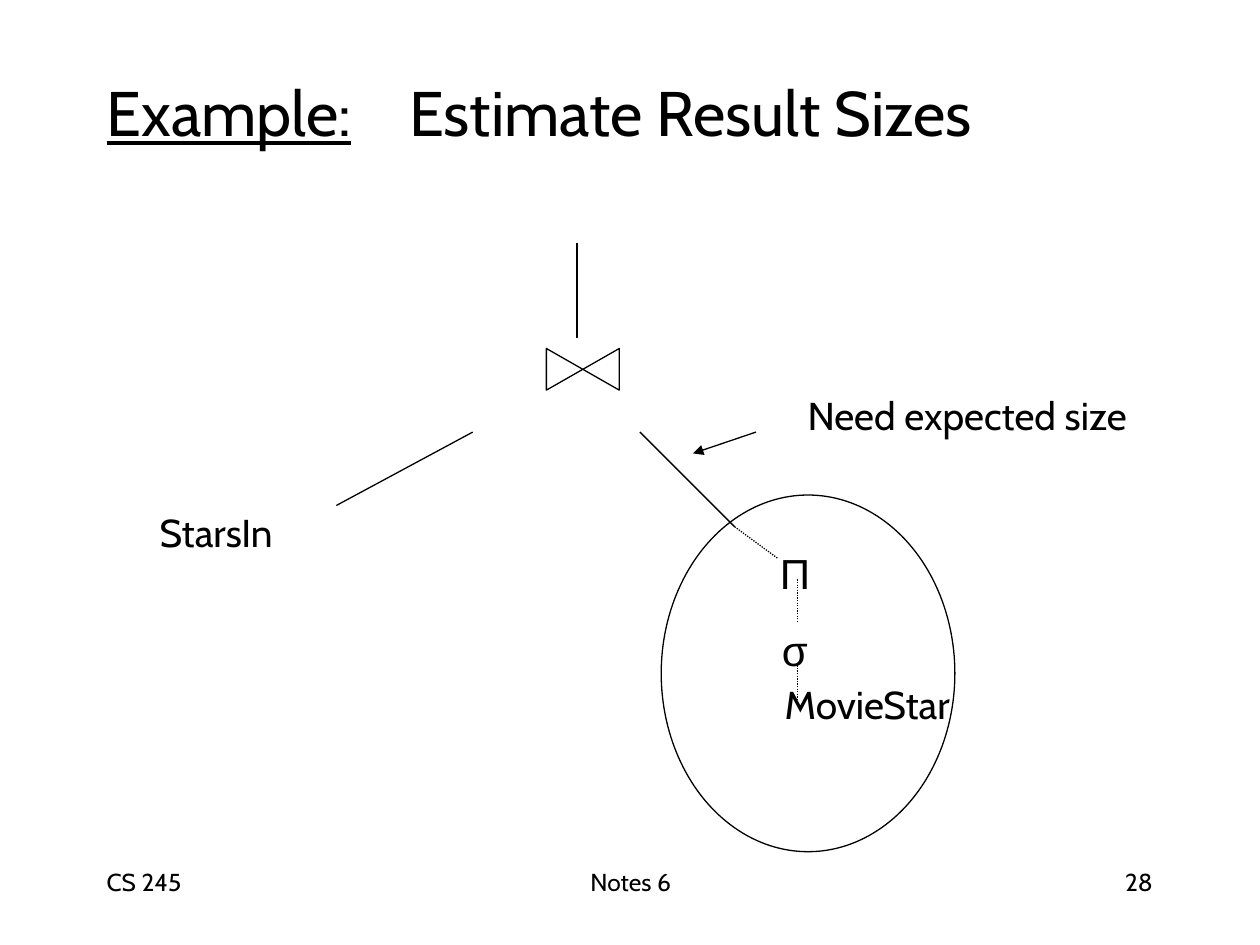
import pptx
import pptx.util
from lxml import etree
from pptx.dml.color import RGBColor
from pptx.enum.dml import MSO_LINE
from pptx.enum.shapes import MSO_CONNECTOR, MSO_SHAPE
from pptx.enum.text import MSO_ANCHOR, PP_ALIGN
from pptx.oxml.ns import qn

Cm, Pt = pptx.util.Cm, pptx.util.Pt
BLACK = RGBColor(0, 0, 0)
WHITE = RGBColor(255, 255, 255)
LEFT, CENTER, RIGHT = PP_ALIGN.LEFT, PP_ALIGN.CENTER, PP_ALIGN.RIGHT
TOP, MIDDLE = MSO_ANCHOR.TOP, MSO_ANCHOR.MIDDLE

FOOTERS = [
    ("CS 245", 1.9, 5.28, LEFT),
    ("Notes 6", 8.69, 8.05, CENTER),
    ("28", 18.21, 5.28, RIGHT),
]
TITLE = [("Example:", True), ("\tEstimate Result Sizes", False)]
TITLE_TAB = 6.1
LABELS = [
    ("Need expected size", 16.03, 7.86, 7.4),
    ("StarsIn", 2.97, 10.22, 3.5),
    ("MovieStar", 15.57, 13.7, 4.2),
]
OPERATORS = ["Π", "σ"]
SUBTREE = (13.33, 9.98, 5.92, 7.19)
JOIN = (11.33, 6.71, 0.84, 1.47)
BRANCHES = [
    ((9.53, 8.71), (6.78, 10.19)),
    ((11.63, 4.9), (11.63, 6.81)),
    ((12.9, 8.71), (14.81, 10.62)),
]
DOTTED_BRANCHES = [
    ((14.81, 10.62), (15.67, 11.25)),
    ((16.08, 13.36), (16.08, 14.22)),
    ((16.08, 11.68), (16.08, 12.52)),
]
POINTER = ((15.24, 8.71), (13.97, 9.14))


def apply(target, values):
    for name, value in values.items():
        setattr(target, name, value)


def add_text(page, paragraphs, area, size, align=LEFT, anchor=MIDDLE,
             font="Cabin", wrap=True, gap=0, tab=None):
    box = page.shapes.add_textbox(*map(Cm, area))
    apply(box.text_frame, {"word_wrap": wrap, "vertical_anchor": anchor})
    for index, spans in enumerate(paragraphs):
        para = box.text_frame.paragraphs[0] if index == 0 else box.text_frame.add_paragraph()
        if tab:
            stops = etree.SubElement(para._p.get_or_add_pPr(), qn("a:tabLst"))
            etree.SubElement(stops, qn("a:tab"), pos=str(int(Cm(tab))), algn="l")
        apply(para, {"alignment": align, "space_before": Pt(gap if index else 0)})
        for text, underline in spans:
            span = para.add_run()
            span.text = text
            apply(span.font, {"name": font, "size": Pt(size), "underline": underline})
            span.font.color.rgb = BLACK


def add_outline(page, kind, area, rotation=0):
    shape = page.shapes.add_shape(kind, *map(Cm, area))
    shape.rotation = rotation
    shape.shadow.inherit = False
    shape.fill.solid()
    shape.fill.fore_color.rgb = WHITE
    shape.line.color.rgb = BLACK
    shape.line.width = Pt(0.75)


def add_line(page, start, end, dash=None, arrow=False):
    line = page.shapes.add_connector(MSO_CONNECTOR.STRAIGHT, *map(Cm, start + end))
    line.line.color.rgb = BLACK
    apply(line.line, {"width": Pt(0.75), "dash_style": dash})
    if arrow:
        etree.SubElement(line.line._get_or_add_ln(), qn("a:tailEnd"), type="triangle")
    etree.SubElement(line._element.spPr, qn("a:effectLst"))


def main():
    deck = pptx.Presentation()
    apply(deck, {"slide_width": Cm(25.4), "slide_height": Cm(19.05)})
    page = deck.slides.add_slide(deck.slide_layouts[6])

    for text, left, width, align in FOOTERS:
        add_text(page, [[(text, False)]], (left, 17.35, width, 1.27), 14, align, TOP)
    add_outline(page, MSO_SHAPE.OVAL, SUBTREE)
    add_text(page, [TITLE], (1.9, 0.66, 21.59, 3.18), 36, tab=TITLE_TAB)
    for text, left, top, width in LABELS:
        add_text(page, [[(text, False)]], (left, top, width, 1), 22.2)
    add_outline(page, MSO_SHAPE.FLOWCHART_COLLATE, JOIN, 270)
    add_text(page, [[(symbol, False)] for symbol in OPERATORS], (15.44, 10.92, 1.17, 2.79),
             24, CENTER, font="Arial", wrap=False, gap=15)
    for start, end in BRANCHES:
        add_line(page, start, end)
    for start, end in DOTTED_BRANCHES:
        add_line(page, start, end, MSO_LINE.ROUND_DOT)
    add_line(page, *POINTER, arrow=True)

    deck.save("out.pptx")


if __name__ == "__main__":
    main()
